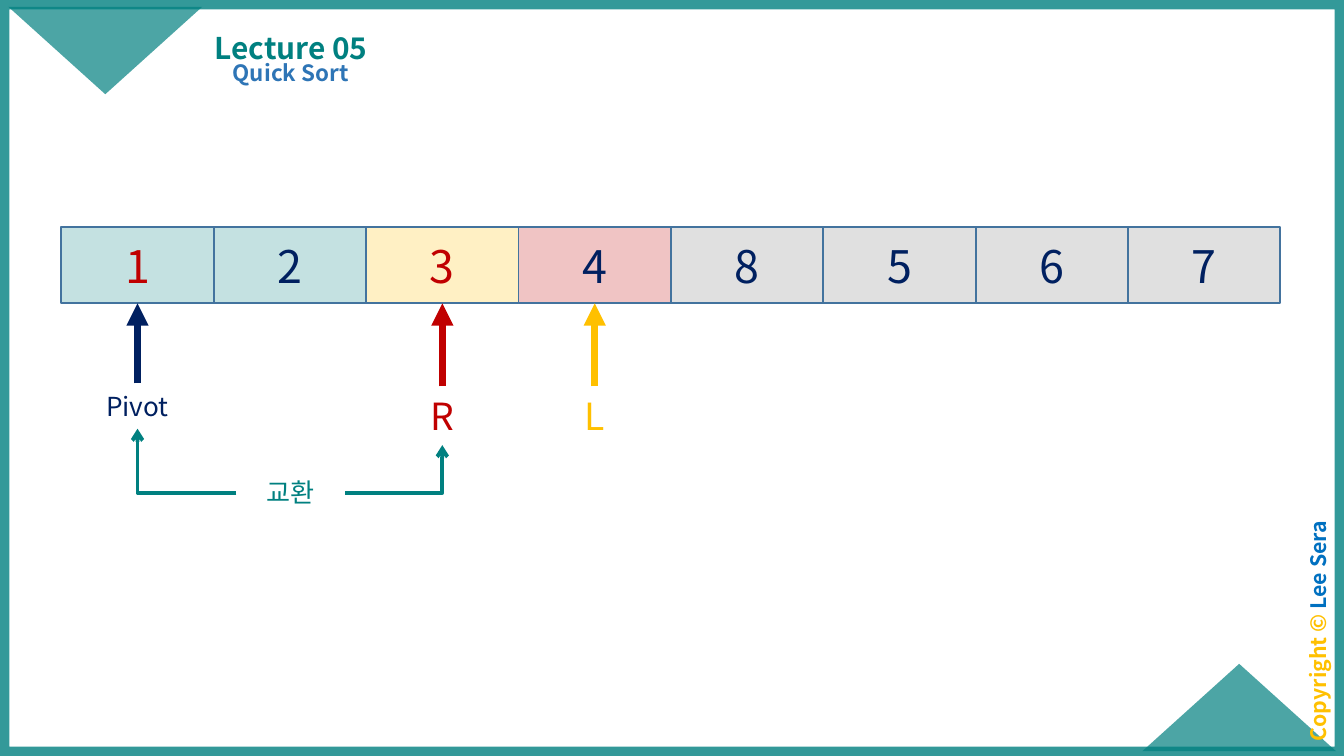
from dataclasses import dataclass

from lxml import etree
from pptx import Presentation
from pptx.dml.color import RGBColor
from pptx.enum.shapes import MSO_CONNECTOR, MSO_SHAPE
from pptx.enum.text import MSO_ANCHOR, MSO_AUTO_SIZE, PP_ALIGN
from pptx.oxml.ns import qn
from pptx.util import Cm, Pt

RECTANGLE = MSO_SHAPE.RECTANGLE
TRIANGLE = MSO_SHAPE.ISOSCELES_TRIANGLE
STRAIGHT = MSO_CONNECTOR.STRAIGHT
ELBOW = MSO_CONNECTOR.ELBOW
CENTER = PP_ALIGN.CENTER
TOP, MIDDLE, BOTTOM = MSO_ANCHOR.TOP, MSO_ANCHOR.MIDDLE, MSO_ANCHOR.BOTTOM
FIXED_SIZE = MSO_AUTO_SIZE.NONE
GROW = MSO_AUTO_SIZE.SHAPE_TO_FIT_TEXT

FONT = "Noto Sans CJK KR"
TEAL, NAVY, RED, YELLOW, GRAY = "008080", "002060", "C00000", "FFC000", "7C7C7C"
BORDER, BLUE, SUBTITLE_BLUE = "43739E", "0070C0", "2E75B6"

# Lengths are in centimetres
SLIDE_WIDTH, SLIDE_HEIGHT = 25.4, 14.28
ROW_LEFT, ROW_TOP, CELL_WIDTH, CELL_HEIGHT = 1.16, 4.29, 2.88, 1.44
ROW_BOTTOM = ROW_TOP + CELL_HEIGHT
LABEL_WIDTH = 2.6
SWAP_LEVEL = 9.31


@dataclass
class Box:
    left: float
    top: float
    width: float
    height: float

    def lengths(self) -> list:
        return [Cm(value) for value in (self.left, self.top, self.width, self.height)]


@dataclass
class Cell:
    value: str
    fill: str
    color: str = NAVY


@dataclass
class Pointer:
    label: str
    cell: int
    color: str
    size: float
    tail: float
    label_height: float


CELLS = [
    Cell("1", TEAL, RED), Cell("2", TEAL), Cell("3", YELLOW, RED), Cell("4", RED),
    Cell("8", GRAY), Cell("5", GRAY), Cell("6", GRAY), Cell("7", GRAY),
]
POINTERS = [
    Pointer("Pivot", 0, NAVY, 14, 7.24, 0.86),
    Pointer("R", 2, RED, 20, 7.3, 1.11),
    Pointer("L", 3, YELLOW, 20, 7.3, 1.11),
]


def paint(color_format, color: str, alpha: int = 100) -> None:
    """Set a solid colour, with an opacity in percent."""
    color_format.rgb = RGBColor.from_string(color)
    if alpha < 100:
        node = color_format._xFill.find(qn("a:srgbClr"))
        etree.SubElement(node, qn("a:alpha")).set("val", str(alpha * 1000))


def style_run(run, size: float, color: str, bold: bool = False) -> None:
    run.font.size = Pt(size)
    run.font.bold = bold
    run.font.name = FONT
    paint_font(run, color)
    east_asian = etree.SubElement(run._r.get_or_add_rPr(), qn("a:ea"))
    east_asian.set("typeface", FONT)


def paint_font(run, color: str) -> None:
    run.font.color.rgb = RGBColor.from_string(color)


def write(shape, text: str, size: float, color: str, bold: bool = False,
          anchor=TOP, auto_size=FIXED_SIZE, spacing: float = 1.0):
    """Put one centred paragraph into a shape and return the paragraph."""
    frame = shape.text_frame
    frame.text = text
    frame.word_wrap = True
    frame.auto_size = auto_size
    frame.vertical_anchor = anchor
    paragraph = frame.paragraphs[0]
    paragraph.alignment = CENTER
    paragraph.line_spacing = spacing
    paragraph.space_before = Pt(0)
    style_run(paragraph.runs[0], size, color, bold)
    return paragraph


def set_margins(shape) -> None:
    frame = shape.text_frame
    frame.margin_left = frame.margin_right = Cm(0.18)
    frame.margin_top = frame.margin_bottom = Cm(0.1)


def add_filled(shapes, kind, box: Box, color: str, alpha: int):
    shape = shapes.add_shape(kind, *box.lengths())
    shape.shadow.inherit = False
    shape.fill.solid()
    fill_color = shape.fill.fore_color
    fill_color.rgb = RGBColor.from_string(color)
    add_alpha(shape.fill._xPr.find(qn("a:solidFill")), alpha)
    shape.line.fill.background()
    return shape


def add_alpha(solid_fill, alpha: int) -> None:
    node = etree.SubElement(solid_fill[0], qn("a:alpha"))
    node.set("val", str(alpha * 1000))


def set_line(line, color: str, width: float) -> None:
    line.color.rgb = RGBColor.from_string(color)
    line.width = Pt(width)


def add_arrow(shapes, kind, start: tuple, end: tuple, color: str, width: float, head: str):
    connector = shapes.add_connector(kind, *[Cm(value) for value in start + end])
    set_line(connector.line, color, width)
    properties = connector._element.spPr
    if kind == ELBOW:
        properties.find(qn("a:prstGeom")).set("prst", "bentConnector2")
    etree.SubElement(connector.line._get_or_add_ln(), qn("a:tailEnd")).set("type", head)
    etree.SubElement(properties, qn("a:effectLst"))


def cell_center(index: int) -> float:
    return ROW_LEFT + (index + 0.5) * CELL_WIDTH


def add_frame(shapes) -> None:
    frame = shapes.add_shape(RECTANGLE, *Box(0, 0, SLIDE_WIDTH, SLIDE_HEIGHT).lengths())
    frame.shadow.inherit = False
    frame.fill.background()
    set_line(frame.line, TEAL, 10)
    add_alpha(frame.line._get_or_add_ln().find(qn("a:solidFill")), 80)
    add_filled(shapes, TRIANGLE, Box(21.59, 12.54, 3.66, 1.65), TEAL, 70)
    add_filled(shapes, TRIANGLE, Box(0.16, 0.13, 3.66, 1.65), TEAL, 70).rotation = 180


def add_copyright(shapes) -> None:
    box = shapes.add_textbox(*Box(22.66, 11.6, 4.72, 0.64).lengths())
    box.rotation = 270
    set_margins(box)
    paragraph = write(box, "Copyright © ", 11.4, YELLOW, True, spacing=0.7)
    author = paragraph.add_run()
    author.text = "Lee Sera"
    style_run(author, 11.4, BLUE, True)


def fill_heading(placeholder, box: Box, text: str, size: float, color: str, anchor) -> None:
    placeholder.left, placeholder.top, placeholder.width, placeholder.height = box.lengths()
    set_margins(placeholder)
    write(placeholder, text, size, color, True, anchor, spacing=0.9)


def add_cell(shapes, index: int, cell: Cell) -> None:
    box = Box(ROW_LEFT + index * CELL_WIDTH, ROW_TOP, CELL_WIDTH, CELL_HEIGHT)
    shape = add_filled(shapes, RECTANGLE, box, cell.fill, 23)
    set_line(shape.line, BORDER, 1)
    write(shape, cell.value, 24, cell.color, anchor=MIDDLE)


def add_pointer(shapes, pointer: Pointer) -> None:
    group = shapes.add_group_shape().shapes
    x = cell_center(pointer.cell)
    add_arrow(group, STRAIGHT, (x, pointer.tail), (x, ROW_BOTTOM), pointer.color, 4, "triangle")
    box = Box(x - LABEL_WIDTH / 2, pointer.tail, LABEL_WIDTH, pointer.label_height)
    label = group.add_textbox(*box.lengths())
    write(label, pointer.label, pointer.size, pointer.color, auto_size=GROW)


def add_swap(shapes, pivot: Pointer, right: Pointer) -> None:
    group = shapes.add_group_shape().shapes
    box = Box(4.47, 8.88, 2.06, 0.86)
    for pointer, start in ((pivot, box.left), (right, box.left + box.width)):
        end = (cell_center(pointer.cell), pointer.tail + pointer.label_height)
        add_arrow(group, ELBOW, (start, SWAP_LEVEL), end, TEAL, 2, "arrow")
    write(group.add_textbox(*box.lengths()), "교환", 14, TEAL, auto_size=GROW)


def main() -> None:
    presentation = Presentation()
    presentation.slide_width, presentation.slide_height = Cm(SLIDE_WIDTH), Cm(SLIDE_HEIGHT)
    slide = presentation.slides.add_slide(presentation.slide_layouts[0])
    shapes = slide.shapes

    # Border, corners and headings
    add_frame(shapes)
    add_copyright(shapes)
    fill_heading(shapes.title, Box(3.56, 0.15, 3.89, 1.19), "Lecture 05", 16, TEAL, BOTTOM)
    fill_heading(slide.placeholders[1], Box(2.79, 1.07, 5.41, 0.86),
                 "Quick Sort", 12, SUBTITLE_BLUE, TOP)

    # Array, pointers and the swap
    for index, cell in enumerate(CELLS):
        add_cell(shapes, index, cell)
    for pointer in POINTERS:
        add_pointer(shapes, pointer)
    add_swap(shapes, POINTERS[0], POINTERS[1])

    presentation.save("out.pptx")


if __name__ == "__main__":
    main()
